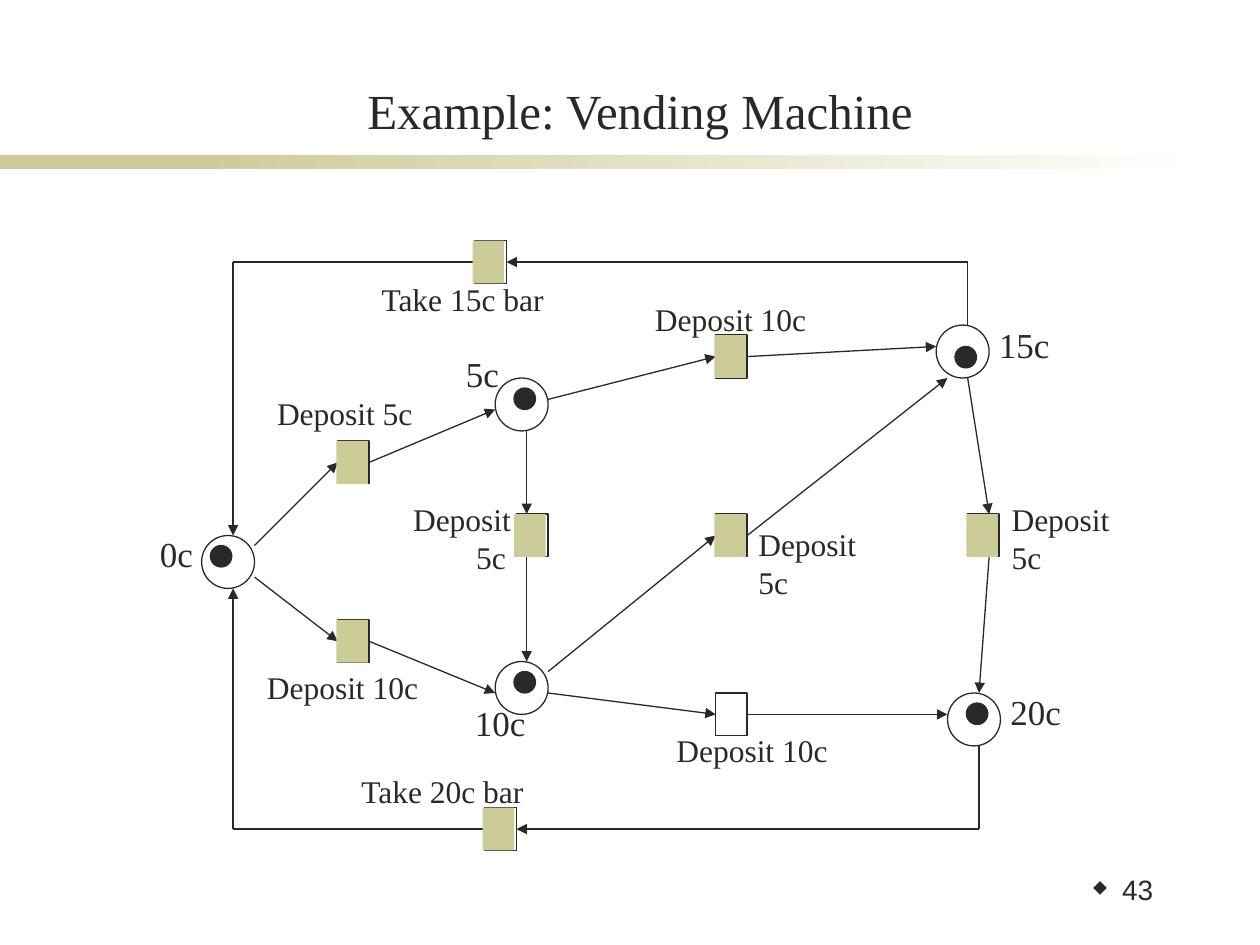
"""Build the vending machine Petri net slide."""
from dataclasses import dataclass
from typing import Any, Union

import lxml.etree
import pptx
import pptx.dml.color
import pptx.enum.shapes
import pptx.enum.text
import pptx.oxml
import pptx.oxml.ns
import pptx.util

SCALE = 9144
INK = pptx.dml.color.RGBColor(0x29, 0x29, 0x29)
SAND = pptx.dml.color.RGBColor(0xCC, 0xCC, 0x99)
WHITE = pptx.dml.color.RGBColor(0xFF, 0xFF, 0xFF)
SERIF = "Times New Roman"
RECTANGLE = pptx.enum.shapes.MSO_SHAPE.RECTANGLE
OVAL = pptx.enum.shapes.MSO_SHAPE.OVAL
TOP, LEFT, BOTTOM, RIGHT = range(4)
PLACE_SIZE, TOKEN_SIZE = 42, 17
TRANSITION_WIDTH, TRANSITION_HEIGHT = 25, 34


@dataclass(frozen=True)
class Label:
    lines: tuple[str, ...]
    left: int
    top: int
    width: int
    height: int = 40
    size: int = 18
    wrap: bool = False
    second_indent: int = 0


@dataclass(frozen=True)
class Place:
    left: int
    top: int
    token_left: int
    token_top: int
    label: Label


@dataclass(frozen=True)
class Transition:
    name: str
    left: int
    top: int
    label: Label
    fill_shift: int = 1
    filled: bool = True


Point = tuple[int, int]
Joint = tuple[str, int]
End = Union[Point, Joint]


@dataclass(frozen=True)
class Arc:
    begin: End
    end: End
    arrow: bool = True


def place_label(text: str, left: int, top: int, width: int) -> Label:
    """Return the larger label that names a place."""
    return Label((text,), left, top, width, 43, 20)


PLACES = [
    Place(160, 425, 167, 433, place_label("0c", 117, 418, 46)),
    Place(393, 300, 408, 308, place_label("5c", 360, 275, 46)),
    Place(393, 525, 408, 533, place_label("10c", 367, 552, 60)),
    Place(743, 258, 758, 275, place_label("15c", 783, 252, 60)),
    Place(752, 550, 767, 558, place_label("20c", 792, 543, 60)),
]
TWO_LINES = ("Deposit", "5c")
TRANSITIONS = [
    Transition("take 15", 377, 191, Label(("Take 15c bar",), 293, 217, 193, wrap=True), 2),
    Transition("0 to 5", 268, 350, Label(("Deposit 5c",), 210, 308, 128)),
    Transition("0 to 10", 268, 492, Label(("Deposit 10c",), 202, 525, 140)),
    Transition("5 to 10", 410, 408,
               Label(TWO_LINES, 318, 392, 108, 70, wrap=True, second_indent=50), 2),
    Transition("5 to 15", 568, 266, Label(("Deposit 10c",), 510, 233, 140)),
    Transition("10 to 15", 568, 408, Label(TWO_LINES, 592, 412, 98, 70)),
    Transition("10 to 20", 568, 550, Label(("Deposit 10c",), 527, 575, 140), filled=False),
    Transition("15 to 20", 768, 408, Label(TWO_LINES, 793, 392, 98, 70)),
    Transition("take 20", 385, 641, Label(("Take 20c bar",), 277, 608, 151), 2),
]
ARCS = [
    Arc((202, 433), ("0 to 5", LEFT)),
    Arc((202, 458), ("0 to 10", LEFT)),
    Arc(("0 to 5", RIGHT), (393, 325)),
    Arc(("0 to 10", RIGHT), (393, 550)),
    Arc((435, 317), ("5 to 15", LEFT)),
    Arc(("5 to 15", RIGHT), (743, 275)),
    Arc((418, 342), (418, 408)),
    Arc((418, 442), (418, 525)),
    Arc((435, 533), ("10 to 15", LEFT)),
    Arc(("10 to 15", RIGHT), (752, 300)),
    Arc((435, 550), ("10 to 20", LEFT)),
    Arc(("10 to 20", RIGHT), (752, 567)),
    Arc((768, 300), (785, 408)),
    Arc((785, 442), (777, 550)),
    Arc((777, 592), (777, 658), False),
    Arc((777, 658), ("take 20", RIGHT)),
    Arc(("take 20", LEFT), (185, 658), False),
    Arc((185, 658), (185, 467)),
    Arc((768, 258), (768, 208), False),
    Arc((768, 208), ("take 15", RIGHT)),
    Arc(("take 15", LEFT), (185, 208), False),
    Arc((185, 208), (185, 425)),
]


def px(*lengths: int) -> list[int]:
    """Turn px, 100 to the inch, into EMU."""
    return [pptx.util.Emu(length * SCALE) for length in lengths]


def set_all(target: Any, formats: dict[str, Any]) -> None:
    """Set each named attribute of the target."""
    for name, value in formats.items():
        setattr(target, name, value)


def set_font(paragraph: Any, size: int, family: str = SERIF) -> None:
    """Give a paragraph its font."""
    set_all(paragraph.font, {"name": family, "size": pptx.util.Pt(size), "bold": False})
    paragraph.font.color.rgb = INK


def set_line(line: Any) -> None:
    """Draw a thin dark line."""
    line.color.rgb = INK
    line.width = pptx.util.Pt(0.75)


def add_shape(shapes: Any, kind: Any, box: tuple[int, int, int, int],
              fill: Any = None, outlined: bool = True) -> Any:
    """Add a flat preset shape."""
    shape = shapes.add_shape(kind, *px(*box))
    shape.shadow.inherit = False
    if fill is None:
        shape.fill.background()
    else:
        shape.fill.solid()
        shape.fill.fore_color.rgb = fill
    if outlined:
        set_line(shape.line)
    else:
        shape.line.fill.background()
    return shape


def add_label(shapes: Any, label: Label) -> None:
    """Add a label with one paragraph to a line."""
    frame = shapes.add_textbox(*px(label.left, label.top, label.width, label.height)).text_frame
    set_all(frame, {"word_wrap": label.wrap, "text": "\n".join(label.lines),
                    "auto_size": pptx.enum.text.MSO_AUTO_SIZE.SHAPE_TO_FIT_TEXT})
    for paragraph in frame.paragraphs:
        set_font(paragraph, label.size)
    if label.second_indent:
        frame.paragraphs[1]._p.get_or_add_pPr().set("marL", str(label.second_indent * SCALE))


def add_arc(shapes: Any, arc: Arc, boxes: dict[str, Any]) -> None:
    """Add an arc, joined to any transitions it names."""
    points = [end if isinstance(end[0], int) else (0, 0) for end in (arc.begin, arc.end)]
    connector = shapes.add_connector(
        pptx.enum.shapes.MSO_CONNECTOR.STRAIGHT, *px(*points[0], *points[1]))
    for end, connect in ((arc.begin, connector.begin_connect), (arc.end, connector.end_connect)):
        if isinstance(end[0], str):
            connect(boxes[end[0]], end[1])
    set_line(connector.line)
    if arc.arrow:
        lxml.etree.SubElement(connector.line._get_or_add_ln(),
                              pptx.oxml.ns.qn("a:tailEnd"), type="triangle")
    lxml.etree.SubElement(connector._element.spPr, pptx.oxml.ns.qn("a:effectLst"))


def add_heading(slide: Any) -> None:
    """Fill the title and draw the fading bar below it."""
    title = slide.shapes.title
    set_all(title, dict(zip(("left", "top", "width", "height"), px(58, 33, 900, 83))))
    set_all(title.text_frame, {"text": "Example: Vending Machine", "word_wrap": True,
                               "vertical_anchor": pptx.enum.text.MSO_ANCHOR.BOTTOM,
                               "auto_size": pptx.enum.text.MSO_AUTO_SIZE.NONE})
    paragraph = title.text_frame.paragraphs[0]
    paragraph.alignment = pptx.enum.text.PP_ALIGN.CENTER
    set_font(paragraph, 28)
    add_shape(slide.shapes, RECTANGLE, (0, 123, 233, 11), SAND, False)
    fade = add_shape(slide.shapes, RECTANGLE, (158, 123, 792, 11), SAND, False)
    fade.fill.gradient()
    fade.fill.gradient_angle = 0
    for stop, color in zip(fade.fill.gradient_stops, (SAND, WHITE)):
        stop.color.rgb = color


def add_page_number(slide: Any) -> None:
    """Add the page number with its diamond bullet."""
    frame = slide.shapes.add_textbox(*px(823, 691, 102, 46)).text_frame
    set_all(frame, {"word_wrap": True, "text": "43"})
    paragraph = frame.paragraphs[0]
    set_all(paragraph, {"alignment": pptx.enum.text.PP_ALIGN.RIGHT, "line_spacing": 0.9})
    properties = paragraph._p.get_or_add_pPr()
    for name, length in {"marL": 24, "indent": -24}.items():
        properties.set(name, str(length * SCALE))
    color = lxml.etree.SubElement(properties, pptx.oxml.ns.qn("a:buClr"))
    lxml.etree.SubElement(color, pptx.oxml.ns.qn("a:srgbClr"), val=str(INK))
    for tag, attributes in {"a:buSzPct": {"val": "60000"},
                            "a:buFont": {"typeface": "Wingdings", "charset": "2"},
                            "a:buChar": {"char": "u"}}.items():
        lxml.etree.SubElement(properties, pptx.oxml.ns.qn(tag), attributes)
    set_font(paragraph, 16, "Arial")


def add_net(slide: Any) -> None:
    """Draw the net as a group, then its transition fills and tokens."""
    shapes = slide.shapes.add_group_shape().shapes
    size = (TRANSITION_WIDTH, TRANSITION_HEIGHT)
    boxes = {item.name: add_shape(shapes, RECTANGLE, (item.left, item.top, *size))
             for item in TRANSITIONS}
    for place in PLACES:
        add_shape(shapes, OVAL, (place.left, place.top, PLACE_SIZE, PLACE_SIZE))
    for arc in ARCS:
        add_arc(shapes, arc, boxes)
    for item in PLACES + TRANSITIONS:
        add_label(shapes, item.label)
    for item in TRANSITIONS:
        if item.filled:
            add_shape(slide.shapes, RECTANGLE, (item.left - item.fill_shift, item.top, *size),
                      SAND, False)
    for place in PLACES:
        add_shape(slide.shapes, OVAL,
                  (place.token_left, place.token_top, TOKEN_SIZE, TOKEN_SIZE), INK)


def main() -> None:
    """Build and save the presentation."""
    presentation = pptx.Presentation()
    set_all(presentation, dict(zip(("slide_width", "slide_height"), px(1000, 750))))
    slide = presentation.slides.add_slide(presentation.slide_layouts[5])
    add_heading(slide)
    add_page_number(slide)
    add_net(slide)
    presentation.save("out.pptx")


if __name__ == "__main__":
    main()
